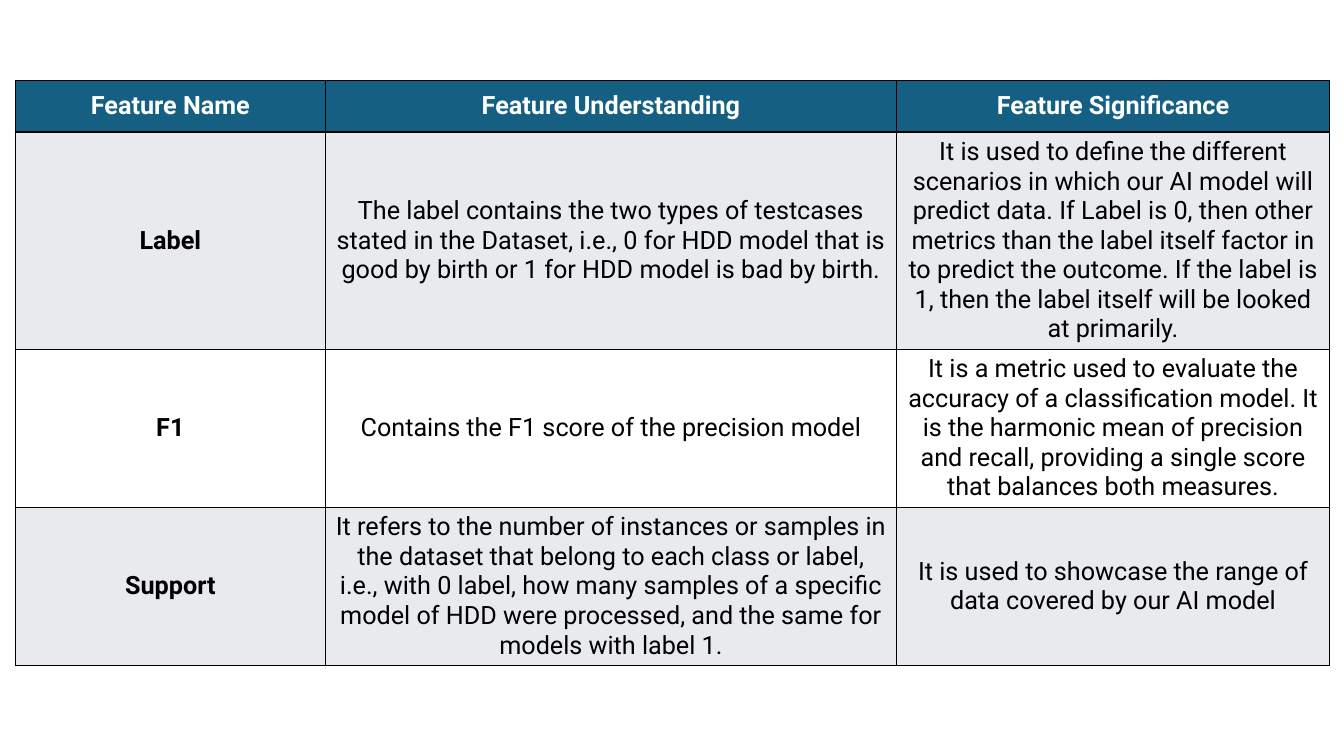
from lxml.etree import SubElement
from pptx import Presentation
from pptx.dml.color import RGBColor
from pptx.enum.text import MSO_ANCHOR, PP_ALIGN
from pptx.oxml.ns import qn
from pptx.util import Inches, Pt

COLORS = {
    "header": "156082",
    "band": "E8EAED",
    "plain": "FFFFFF",
    "header_text": "FFFFFF",
    "text": "000000",
    "border": "000000",
}
COLUMN_WIDTHS = [3.08, 5.66, 4.3]
ROW_HEIGHTS = [0.51, 2.15, 1.57, 1.57]
FEATURES = [
    ("Feature Name", "Feature Understanding", "Feature Significance"),
    (
        "Label",
        "The label contains the two types of testcases stated in the Dataset, i.e., "
        "0 for HDD model that is good by birth or 1 for HDD model is bad by birth.",
        "It is used to define the different scenarios in which our AI model will "
        "predict data. If Label is 0, then other metrics than the label itself factor "
        "in to predict the outcome. If the label is 1, then the label itself will be "
        "looked at primarily.",
    ),
    (
        "F1",
        "Contains the F1 score of the precision model",
        "It is a metric used to evaluate the accuracy of a classification model. It is "
        "the harmonic mean of precision and recall, providing a single score that "
        "balances both measures.",
    ),
    (
        "Support",
        "It refers to the number of instances or samples in the dataset that belong to "
        "each class or label, i.e., with 0 label, how many samples of a specific model "
        "of HDD were processed, and the same for models with label 1.",
        "It is used to showcase the range of data covered by our AI model",
    ),
]


def write_cell(cell, text, color, bold=False, size=18, font="Roboto"):
    cell.vertical_anchor = MSO_ANCHOR.MIDDLE
    para = cell.text_frame.paragraphs[0]
    para.alignment = PP_ALIGN.CENTER
    span = para.add_run()
    span.text = text
    span.font.name = font
    span.font.size = Pt(size)
    span.font.bold = bold
    span.font.color.rgb = RGBColor.from_string(color)


def add_borders(cell, color, width=1):
    properties = cell._tc.get_or_add_tcPr()
    for side in ("a:lnL", "a:lnR", "a:lnT", "a:lnB"):
        line = SubElement(properties, qn(side), w=str(Pt(width)))
        fill = SubElement(line, qn("a:solidFill"))
        SubElement(fill, qn("a:srgbClr"), val=color)


deck = Presentation()
deck.slide_width, deck.slide_height = Inches(13.33), Inches(7.5)
page = deck.slides.add_slide(deck.slide_layouts[6])

table = page.shapes.add_table(
    len(ROW_HEIGHTS), len(COLUMN_WIDTHS), Inches(0.15), Inches(0.8),
    Inches(sum(COLUMN_WIDTHS)), Inches(sum(ROW_HEIGHTS)),
).table
for column, width in zip(table.columns, COLUMN_WIDTHS):
    column.width = Inches(width)
for row, height in zip(table.rows, ROW_HEIGHTS):
    row.height = Inches(height)

for row_index, feature in enumerate(FEATURES):
    is_header = row_index == 0
    fill_name = "header" if is_header else "band" if row_index % 2 else "plain"
    text_color = COLORS["header_text" if is_header else "text"]
    for column_index, text in enumerate(feature):
        cell = table.cell(row_index, column_index)
        write_cell(cell, text, text_color, bold=is_header or column_index == 0)
        add_borders(cell, COLORS["border"])
        cell.fill.solid()
        cell.fill.fore_color.rgb = RGBColor.from_string(COLORS[fill_name])

deck.save("out.pptx")
